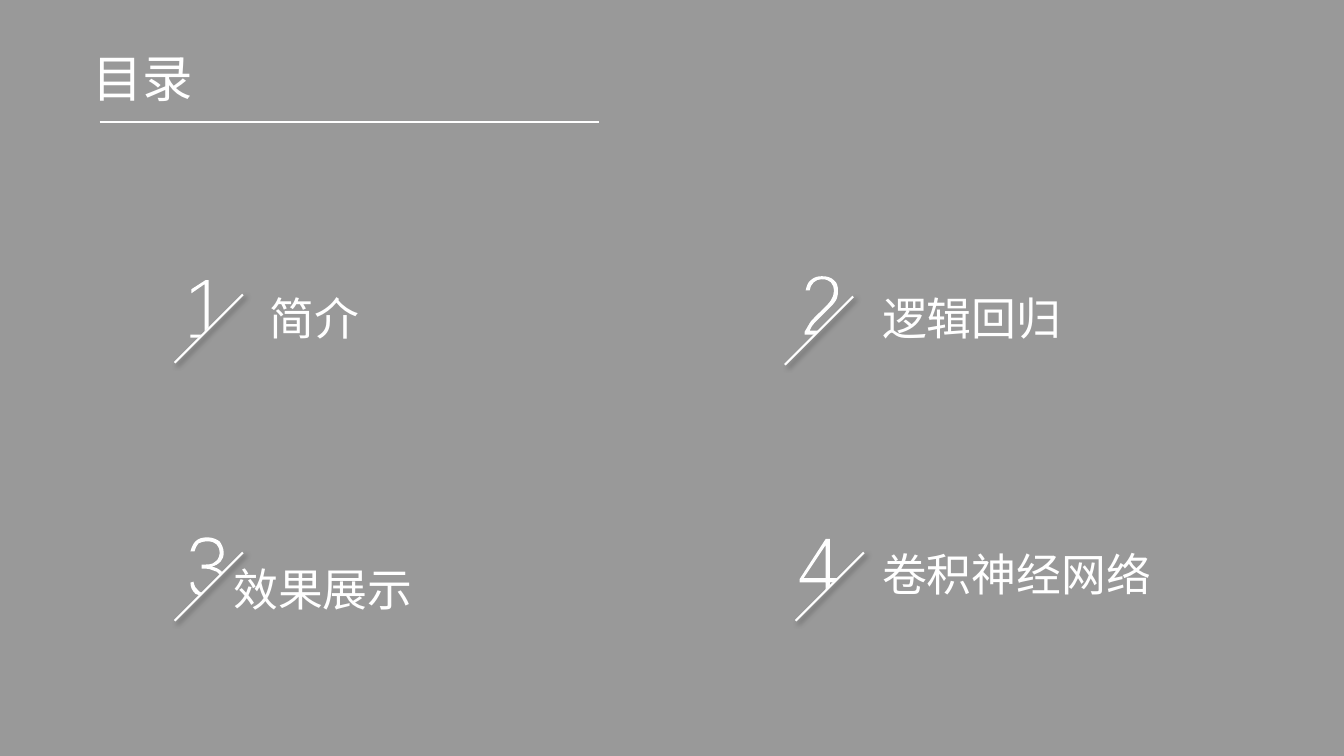
from dataclasses import dataclass

from lxml import etree
from pptx import Presentation
from pptx.dml.color import RGBColor
from pptx.enum.shapes import MSO_CONNECTOR, MSO_SHAPE
from pptx.enum.text import MSO_ANCHOR, MSO_AUTO_SIZE, PP_ALIGN
from pptx.oxml.ns import qn
from pptx.util import Cm, Pt

STRAIGHT = MSO_CONNECTOR.STRAIGHT
RECT = MSO_SHAPE.RECTANGLE
TOP = MSO_ANCHOR.TOP
GROW = MSO_AUTO_SIZE.SHAPE_TO_FIT_TEXT
LEFT = PP_ALIGN.LEFT

FONT = "Noto Sans CJK SC"
WHITE = "FFFFFF"
BLACK = "000000"
WIDE, HIGH = 33.87, 19.05
SLASH = 1.72
SCALE = Cm(2.54) / 100

ONE = (
    "0,54 | 11,54 | 8,57 | 0,57",
    "15,0 | 18,0 | 18,47 | 14,51 | 14,4 | 1,13 | 1,9",
)
TWO = (
    "17,0 | 22,0 26,1 29,4 | 32,6 33,10 33,14 | 33,17 33,19 32,22"
    " | 31,24 30,26 28,28 | 26,30 23,33 19,37 | 16,40 13,43 10,46"
    " | 8,48 6,51 5,54 | 14,54 | 10,58 | 0,58 | 0,55 | 2,52 4,48 6,45"
    " | 9,42 12,38 16,35 | 21,30 24,27 26,24 | 28,21 29,18 29,15"
    " | 29,11 28,8 26,6 | 24,4 21,3 17,3 | 14,3 11,4 9,6 | 7,8 5,11 5,14"
    " | 1,14 | 2,10 3,6 6,4 | 9,1 13,0 17,0",
)
THREE = (
    "3,44 | 4,48 5,51 8,53 | 9,54 10,55 12,55 | 13,55 | 10,58 | 5,56"
    " | 2,53 0,50 0,45",
    "17,0 | 22,0 26,2 29,4 | 31,7 33,11 33,15 | 33,19 32,22 30,24"
    " | 27,27 25,28 21,29 | 21,29 | 25,30 28,31 31,34 | 32,36 | 29,39 | 29,37"
    " | 27,35 26,33 23,33 | 21,32 18,31 15,31 | 11,31 | 11,27 | 15,27"
    " | 17,27 20,27 22,26 | 24,25 26,23 27,22 | 28,20 29,18 29,16"
    " | 29,12 28,9 26,7 | 24,5 21,4 17,4 | 13,4 10,5 8,6 | 6,8 5,11 4,14"
    " | 0,14 | 1,10 3,6 5,4 | 8,1 12,0 17,0",
)
FOUR = (
    "26,6 | 4,39 | 26,39",
    "26,0 | 30,0 | 30,39 | 37,39 | 37,40 | 35,43 | 30,43 | 30,48 | 26,52"
    " | 26,43 | 0,43 | 0,40",
)

Point = tuple[float, float]
Parts = list[list[Point]]


@dataclass
class Item:
    label: str
    text_at: Point
    digit: tuple[str, ...]
    digit_at: Point
    slash_at: Point


ITEMS = [
    Item("简介", (6.55, 7.21), ONE, (4.8, 7.06), (6.12, 7.42)),
    Item("逻辑回归", (21.98, 7.21), TWO, (20.28, 6.96), (21.5, 7.47)),
    Item("效果展示", (5.63, 14.02), THREE, (4.8, 13.54), (6.12, 13.92)),
    Item("卷积神经网络", (21.98, 13.65), FOUR, (20.15, 13.58), (21.77, 13.92)),
]


def paint(color, code: str) -> None:
    color.rgb = RGBColor.from_string(code)


def fill(shape, code: str) -> None:
    shape.shadow.inherit = False
    shape.fill.solid()
    paint(shape.fill.fore_color, code)
    shape.line.fill.background()


def fade(color, percent: int) -> None:
    etree.SubElement(color, qn("a:alpha"), val=str(percent * 1000))


def place(shape, at: Point, width: float, height: float) -> None:
    shape.left, shape.top = Cm(at[0]), Cm(at[1])
    shape.width, shape.height = Cm(width), Cm(height)


def write(shape, text: str, size: int) -> None:
    frame = shape.text_frame
    frame.text = text
    frame.word_wrap = False
    frame.auto_size = GROW
    frame.vertical_anchor = TOP
    para = frame.paragraphs[0]
    para.alignment = LEFT
    font = para.font
    font.size = Pt(size)
    font.name = FONT
    paint(font.color, WHITE)
    east = etree.SubElement(para._p.pPr.find(qn("a:defRPr")), qn("a:ea"))
    east.set("typeface", FONT)


def draw_veil(shapes) -> None:
    veil = shapes.add_shape(RECT, 0, 0, Cm(WIDE), Cm(HIGH))
    fill(veil, BLACK)
    fade(veil._element.spPr.find(qn("a:solidFill"))[0], 40)


def draw_line(shapes, start: Point, end: Point, shadow: bool) -> None:
    line = shapes.add_connector(
        STRAIGHT, Cm(start[0]), Cm(start[1]), Cm(end[0]), Cm(end[1])
    )
    line.line.width = Pt(1.5)
    paint(line.line.color, WHITE)
    effects = etree.SubElement(line._element.spPr, qn("a:effectLst"))
    if shadow:
        outer = etree.SubElement(
            effects, qn("a:outerShdw"), blurRad=str(Pt(4)), dist=str(Pt(3)),
            dir="2700000", algn="tl", rotWithShape="0",
        )
        fade(etree.SubElement(outer, qn("a:srgbClr"), val=BLACK), 40)


def split(outline: str) -> Parts:
    return [
        [(int(x), int(y)) for x, y in (pair.split(",") for pair in part.split())]
        for part in outline.split("|")
    ]


def curve(shape, parts: Parts) -> None:
    route = shape._element.spPr.find(".//" + qn("a:path"))
    lines = iter(route.findall(qn("a:lnTo")))
    for part in parts:
        head, *rest = [next(lines) for _ in part]
        if rest:
            head.tag = qn("a:cubicBezTo")
        for node in rest:
            head.append(node[0])
            route.remove(node)


def draw_digit(shapes, digit: tuple[str, ...], at: Point) -> None:
    loops = [split(outline) for outline in digit]
    pen = shapes.build_freeform(*loops[0][0][0], scale=SCALE)
    for n, (start, *parts) in enumerate(loops):
        if n:
            pen.move_to(*start[0])
        pen.add_line_segments([spot for part in parts for spot in part], close=True)
    shape = pen.convert_to_shape(Cm(at[0]), Cm(at[1]))
    curve(shape, [part for loop in loops for part in loop[1:]])
    fill(shape, WHITE)


def draw_item(shapes, item: Item) -> None:
    group = shapes.add_group_shape()
    draw_digit(group.shapes, item.digit, item.digit_at)
    x, y = item.slash_at
    draw_line(group.shapes, (x, y), (x - SLASH, y + SLASH), True)
    box = shapes.add_textbox(0, 0, 0, 0)
    place(box, item.text_at, 0.51 + 1.13 * len(item.label), 1.6)
    write(box, item.label, 32)


def main() -> None:
    deck = Presentation()
    deck.slide_width, deck.slide_height = Cm(WIDE), Cm(HIGH)
    slide = deck.slides.add_slide(deck.slide_layouts[5])
    shapes = slide.shapes
    draw_veil(shapes)
    title = shapes.title
    shapes._spTree.append(title._element)
    place(title, (2.07, 1.07), 3.07, 1.8)
    write(title, "目录", 36)
    draw_line(shapes, (2.51, 3.07), (15.1, 3.07), False)
    for item in ITEMS:
        draw_item(shapes, item)
    deck.save("out.pptx")


if __name__ == "__main__":
    main()
